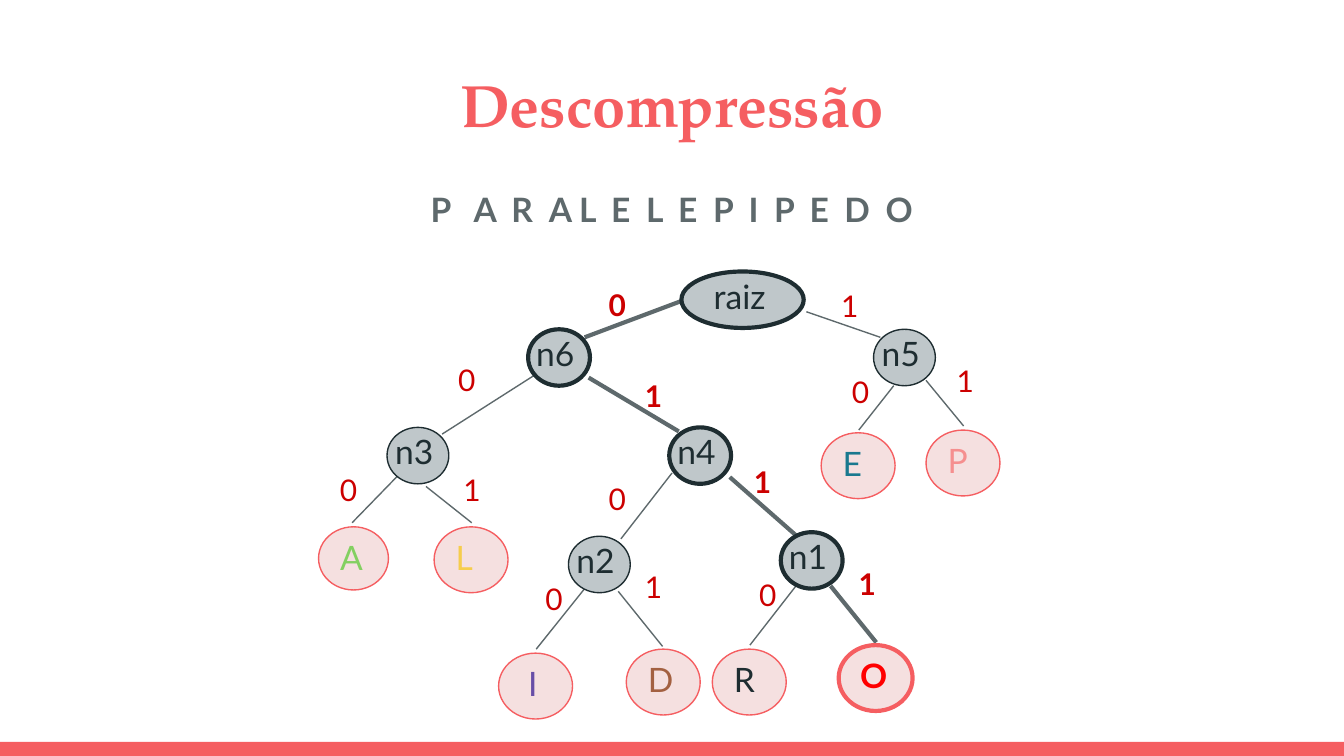
import pptx
import pptx.util
import pptx.dml.color
import pptx.enum.shapes
import pptx.enum.text
import pptx.oxml.ns
import lxml.etree

RGB = pptx.dml.color.RGBColor
CORAL = RGB(0xF5, 0x5E, 0x61)
BLUSH = RGB(0xF5, 0xE0, 0xE0)
SILVER = RGB(0xBF, 0xC7, 0xCA)
SLATE = RGB(0x5E, 0x69, 0x6C)
INK = RGB(0x1E, 0x2D, 0x31)
RED = RGB(0xFF, 0x00, 0x00)
BIT_RED = RGB(0xCC, 0x00, 0x00)
GREEN = RGB(0x83, 0xD0, 0x61)
YELLOW = RGB(0xF6, 0xCD, 0x4C)
PURPLE = RGB(0x67, 0x4E, 0xA7)
BROWN = RGB(0xA3, 0x60, 0x41)
PINK = RGB(0xF5, 0x8F, 0x8F)
TEAL = RGB(0x1A, 0x79, 0x8F)

COLS, ROWS = 100, 56.25  # square grid, ten cells to the inch
INNER, LEAF = (4.6, 4.2), (5.5, 4.9)

# name, left, top, on the decoded path
INNER_NODES = [
    ("n6", 39.3, 24.5, True), ("n5", 65, 24.5, False),
    ("n3", 28.8, 31.8, False), ("n4", 49.8, 31.8, True),
    ("n2", 42.3, 39.9, False), ("n1", 58.1, 39.6, True),
]

# letter, left, top, size, colour, indent, on the decoded path
LEAVES = [
    ("A", 23.7, 39.2, (5.2, 4.7), GREEN, 0.6, False),
    ("L", 32.3, 39.2, LEAF, YELLOW, 0.6, False),
    ("E", 61.1, 32.2, LEAF, TEAL, 0.6, False),
    ("P", 68.9, 32, LEAF, PINK, 0.6, False),
    ("I", 37.1, 48.6, LEAF, PURPLE, 1.2, False),
    ("D", 46.6, 48.3, LEAF, BROWN, 0.6, False),
    ("R", 53, 48.3, LEAF, INK, 0.6, False),
    ("O", 62.4, 48, LEAF, RED, 0.6, True),
]

# start, end, bit, left and top of the bit, on the decoded path
EDGES = [
    ((50.7, 22.4), (43.5, 25.1), "0", (44.3, 20.3), True),
    ((60, 23.2), (65.5, 25.1), "1", (61.6, 20.4), False),
    ((39.8, 27.9), (32.9, 32.3), "0", (33.1, 25.9), False),
    ((43.8, 28.1), (50.5, 32.1), "1", (47, 27.1), True),
    ((66.5, 28.7), (63.9, 32), "0", (62.4, 26.8), False),
    ((68.9, 28.3), (71.7, 31.7), "1", (70.2, 26), False),
    ((29.7, 35.3), (26.2, 38.9), "0", (24.3, 34.1), False),
    ((31.7, 36.2), (35.1, 38.9), "1", (33.5, 34.1), False),
    ((50, 35.2), (46.2, 40.1), "0", (44.3, 34.8), False),
    ((54.3, 35.5), (59.3, 39.9), "1", (55.1, 33.5), True),
    ((43.5, 43.8), (39.9, 48.3), "0", (39.6, 42.2), False),
    ((46, 44), (49.3, 48.1), "1", (47, 41.3), False),
    ((59.3, 43.5), (55.8, 48), "0", (55.5, 41.9), False),
    ((61.8, 43.6), (65.2, 47.8), "1", (62.9, 41.1), True),
]


class TreeSlide:
    font, title_font = "Lato", "TeX Gyre Pagella"
    margin = 1

    def __init__(self, prs):
        self.cell = prs.slide_width / COLS
        self.s = prs.slides.add_slide(prs.slide_layouts[6])

    def grid(self, *lengths):
        return [round(n * self.cell) for n in lengths]

    def weight(self, bold):
        return pptx.util.Pt(2.25 if bold else 0.75)

    def shape(self, kind, box, fill, line=None, bold=False):
        sp = self.s.shapes.add_shape(kind, *self.grid(*box))
        sp.shadow.inherit = False
        sp.fill.solid()
        sp.fill.fore_color.rgb = fill
        if line is None:
            sp.line.fill.background()
        else:
            sp.line.color.rgb = line
            sp.line.width = self.weight(bold)

    def text(self, text, box, size, color, bold=False, indent=0, font=None, center=False):
        sp = self.s.shapes.add_textbox(*self.grid(*box))
        tf = sp.text_frame
        tf.word_wrap = True
        tf.margin_left = self.grid(self.margin + indent)[0]
        tf.margin_right = tf.margin_top = tf.margin_bottom = self.grid(self.margin)[0]
        p = tf.paragraphs[0]
        pieces = [text] if isinstance(text, str) else text
        for piece in pieces:
            p.add_run().text = piece
        for r in p.runs:
            r.font.name = font or self.font
            r.font.size = pptx.util.Pt(size)
            r.font.color.rgb = color
            r.font.bold = bold
        if center:
            p.alignment = pptx.enum.text.PP_ALIGN.CENTER
        return tf

    def spaced_text(self, pieces, box, size, color):
        """Centred bold line; each piece has its own letter spacing in points."""
        tf = self.text([t for t, _ in pieces], box, size, color, True, center=True)
        p = tf.paragraphs[0]
        p.line_spacing = 1.15
        for r, (_, gap) in zip(p.runs, pieces):
            r.font._element.set("spc", str(gap * 100))

    def node(self, box, label, label_box, fill, line, color, path, bold=False, indent=0.6):
        self.shape(pptx.enum.shapes.MSO_SHAPE.OVAL, box, fill, line, path)
        self.text(label, label_box, 18, color, bold, indent)

    def inner(self, name, x, y, size, path, pad=1, indent=0.6):
        w, h = size
        label_box = (x - pad, y - 0.7, w + 2 * pad, 5.4)
        self.node((x, y, w, h), name, label_box, SILVER, INK, INK, path, indent=indent)

    def leaf(self, letter, x, y, size, color, indent, path):
        label_box = (x, y - 0.25, size[0], 5.4)
        self.node((x, y, *size), letter, label_box, BLUSH, CORAL, color, path, path, indent)

    def edge(self, start, end, path):
        line = self.s.shapes.add_connector(
            pptx.enum.shapes.MSO_CONNECTOR.STRAIGHT, *self.grid(*start, *end))
        line.line.color.rgb = SLATE
        line.line.width = self.weight(path)
        lxml.etree.SubElement(line._element.spPr, pptx.oxml.ns.qn("a:effectLst"))

    def bit(self, value, at, path):
        self.text(value, (*at, 3.9, 4.2), 16, BIT_RED, path)


def main():
    prs = pptx.Presentation()
    prs.slide_width = pptx.util.Inches(10)
    prs.slide_height = round(prs.slide_width * ROWS / COLS)
    tree = TreeSlide(prs)

    # Footer band, title and decoded word
    tree.shape(pptx.enum.shapes.MSO_SHAPE.RECTANGLE, (0, 55.2, COLS, ROWS - 55.2), CORAL)
    tf = tree.text("Descompressão", (3.4, 4.3, 93.2, 6.8), 32, CORAL, True,
                   font=tree.title_font, center=True)
    tf.vertical_anchor = pptx.enum.text.MSO_ANCHOR.MIDDLE
    word = [("P ", 4), ("A R ", 2), ("A ", 0), ("L E L E P I P E D O", 2)]
    tree.spaced_text(word, (3.4, 12.6, 93.2, 5.3), 18, SLATE)

    # Edges lie below the nodes
    for start, end, _, _, path in EDGES:
        tree.edge(start, end, path)

    # Root, inner nodes and leaves
    tree.inner("raiz", 50.7, 20.2, (9.1, 4.2), True, pad=2, indent=3.4)
    for name, x, y, path in INNER_NODES:
        tree.inner(name, x, y, INNER, path)
    for leaf in LEAVES:
        tree.leaf(*leaf)

    # Bits beside the edges
    for _, _, value, at, path in EDGES:
        tree.bit(value, at, path)

    prs.save("out.pptx")


if __name__ == "__main__":
    main()
